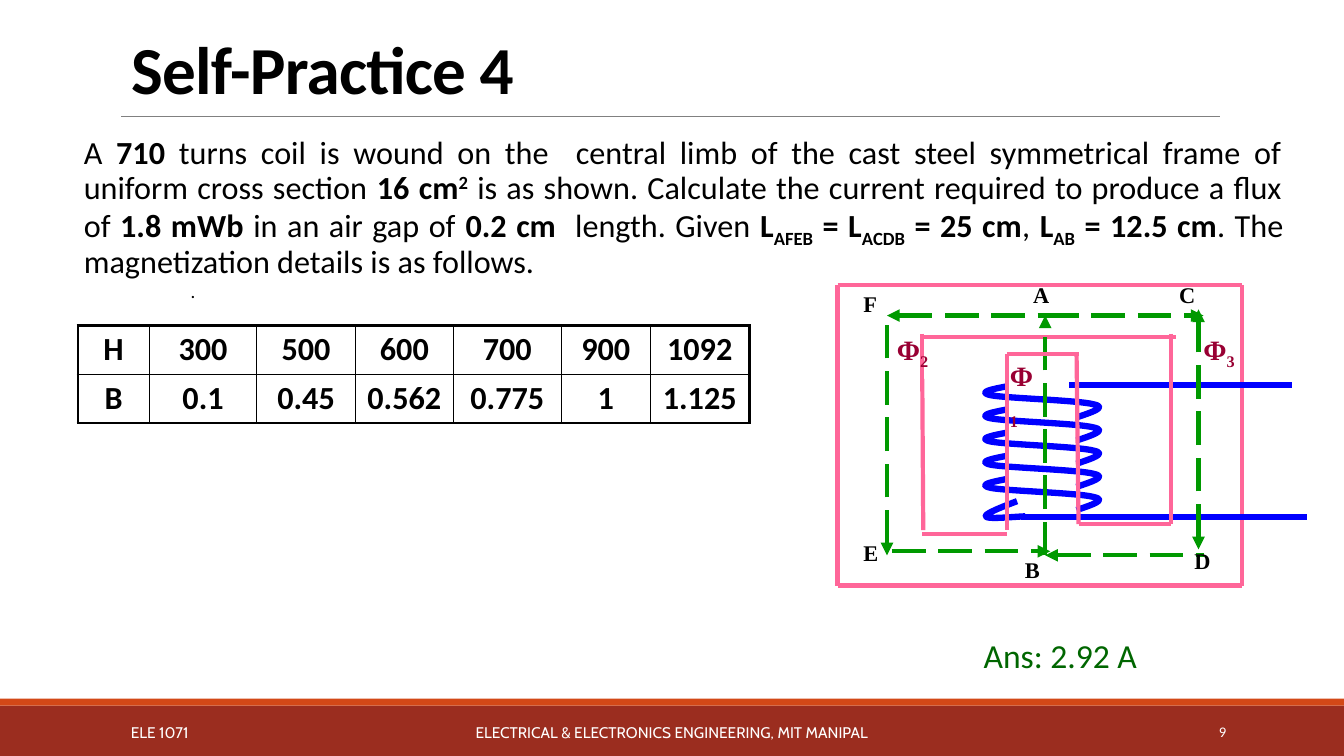
import dataclasses
import typing

import lxml.etree
import pptx
import pptx.dml.color
import pptx.enum.dml
import pptx.enum.shapes
import pptx.enum.text
import pptx.oxml.ns
import pptx.util

Pt = pptx.util.Pt
qn = pptx.oxml.ns.qn
ALIGN = pptx.enum.text.PP_ALIGN
ANCHOR = pptx.enum.text.MSO_ANCHOR
FIT = pptx.enum.text.MSO_AUTO_SIZE


@dataclasses.dataclass(frozen=True)
class Theme:
    black: str = "000000"
    white: str = "FFFFFF"
    band: str = "9B2D1F"
    strip: str = "D34817"
    rule: str = "808080"
    core: str = "FF6699"
    coil: str = "0000FF"
    flux: str = "009900"
    phi: str = "990033"
    reply: str = "006600"
    sans: str = "Calibri"
    foot: str = "Cabin"
    serif: str = "Times New Roman"
    head_size: float = 48
    body_size: float = 23
    reply_size: float = 24
    phi_size: float = 20
    mark_size: float = 16
    dot_size: float = 13.5
    foot_size: float = 11
    page_size: float = 10.5


THEME = Theme()


class Run(typing.NamedTuple):
    text: str
    bold: bool = False
    base: int = 0


class Style(typing.NamedTuple):
    size: float
    font: str = THEME.sans
    color: str = THEME.black


@dataclasses.dataclass(frozen=True)
class Label:
    box: tuple[float, float, float, float]
    runs: list[Run]
    style: Style
    wrap: bool = True
    grow: bool = False
    align: ALIGN = ALIGN.LEFT
    anchor: ANCHOR = ANCHOR.TOP


class Pen(typing.NamedTuple):
    color: str
    width: float
    dash: bool = False


class Stroke(typing.NamedTuple):
    x1: float
    y1: float
    x2: float
    y2: float
    head: bool = False
    tail: bool = False


def paint(color: str) -> pptx.dml.color.RGBColor:
    return pptx.dml.color.RGBColor.from_string(color)


def write(para: typing.Any, runs: list[Run], style: Style) -> None:
    for item in runs:
        run = para.add_run()
        run.text = item.text
        run.font.size = Pt(style.size)
        run.font.name = style.font
        run.font.bold = item.bold
        run.font.color.rgb = paint(style.color)
        if item.base:
            run._r.get_or_add_rPr().set("baseline", str(item.base * 1000))


def add_label(shapes: typing.Any, label: Label) -> typing.Any:
    frame = shapes.add_textbox(*map(Pt, label.box)).text_frame
    frame.word_wrap = label.wrap
    frame.auto_size = FIT.SHAPE_TO_FIT_TEXT if label.grow else FIT.NONE
    frame.vertical_anchor = label.anchor
    para = frame.paragraphs[0]
    para.alignment = label.align
    write(para, label.runs, label.style)
    return frame


def add_bar(shapes: typing.Any, top: float, height: float, color: str) -> None:
    bar = shapes.add_shape(pptx.enum.shapes.MSO_SHAPE.RECTANGLE,
                           0, Pt(top), Pt(960), Pt(height))
    bar.shadow.inherit = False
    bar.fill.solid()
    bar.fill.fore_color.rgb = paint(color)
    bar.line.fill.background()


def add_lines(shapes: typing.Any, strokes: list[Stroke], pen: Pen) -> None:
    for stroke in strokes:
        link = shapes.add_connector(pptx.enum.shapes.MSO_CONNECTOR.STRAIGHT,
                                    *map(Pt, stroke[:4]))
        link.line.color.rgb = paint(pen.color)
        link.line.width = Pt(pen.width)
        if pen.dash:
            link.line.dash_style = pptx.enum.dml.MSO_LINE.LONG_DASH
        props = link.element.spPr
        for tag, shown in (("a:headEnd", stroke.head), ("a:tailEnd", stroke.tail)):
            if shown:
                lxml.etree.SubElement(props.find(qn("a:ln")), qn(tag), type="triangle")
        lxml.etree.SubElement(props, qn("a:effectLst"))


def add_curve(shapes: typing.Any, left: float, top: float,
              knots: list[tuple[float, float]], pen: Pen) -> None:
    draft = shapes.build_freeform(Pt(left), Pt(top))
    draft.add_line_segments([(Pt(left + x), Pt(top + y)) for x, y in knots],
                            close=False)
    curve = draft.convert_to_shape()
    lines = list(curve.element.iter(qn("a:lnTo")))
    for k in range(0, len(lines), 3):
        trio = lines[k:k + 3]
        bend = lxml.etree.SubElement(trio[0].getparent(), qn("a:cubicBezTo"))
        for line in trio:
            bend.append(line[0])
            line.getparent().remove(line)
    curve.shadow.inherit = False
    curve.fill.background()
    curve.line.color.rgb = paint(pen.color)
    curve.line.width = Pt(pen.width)


def add_grid(shapes: typing.Any, rows: list[list[str]], widths: list[float]) -> None:
    table = shapes.add_table(len(rows), len(widths), Pt(55.7), Pt(232.5),
                             Pt(sum(widths)), Pt(69.6)).table
    table.first_row = table.horz_banding = False
    for col, width in zip(table.columns, widths):
        col.width = Pt(width)
    for r, row in enumerate(rows):
        table.rows[r].height = Pt(34.8)
        for c, value in enumerate(row):
            cell = table.cell(r, c)
            cell.margin_top = cell.margin_bottom = Pt(3.3)
            para = cell.text_frame.paragraphs[0]
            para.alignment = ALIGN.CENTER
            write(para, [Run(value, True)], Style(THEME.body_size))
            props = cell._tc.get_or_add_tcPr()
            edges = {"L": c == 0, "R": c == len(row) - 1,
                     "T": r == 0, "B": r == len(rows) - 1}
            for side, outer in edges.items():
                line = lxml.etree.SubElement(props, qn("a:ln" + side),
                                             w=str(Pt(2.25 if outer else 1)))
                fill = lxml.etree.SubElement(line, qn("a:solidFill"))
                lxml.etree.SubElement(fill, qn("a:srgbClr"), val=THEME.black)
            cell.fill.background()


BODY = [
    Run("A "), Run("710", True),
    Run(" turns coil is wound on the  central limb of the cast steel "
        "symmetrical frame of uniform cross section "),
    Run("16 cm", True), Run("2", True, 30),
    Run(" is as shown. Calculate the current required to produce a flux of "),
    Run("1.8 mWb ", True), Run("in an air gap of "), Run("0.2 cm  ", True),
    Run("length. Given "), Run("L", True), Run("AFEB", True, -25),
    Run(" = L", True), Run("ACDB", True, -25), Run(" = 25 cm", True), Run(", "),
    Run("L", True), Run("AB", True, -25), Run(" = 12.5 cm", True),
    Run(". The magnetization details is as follows."),
]
ROWS = [["H", "300", "500", "600", "700", "900", "1092"],
        ["B", "0.1", "0.45", "0.562", "0.775", "1", "1.125"]]
WIDTHS = [51, 76.8, 70.4, 70, 77.1, 63.6, 70.7]
FRAME = [Stroke(887, 203.8, 887, 418.3), Stroke(598.3, 203.8, 887, 203.8),
         Stroke(598.3, 418.3, 887, 418.3), Stroke(598.3, 203.8, 598.3, 273.6),
         Stroke(598.3, 313.2, 598.3, 418.3), Stroke(658.8, 240.5, 840.2, 240.5),
         Stroke(658.8, 238.3, 658.8, 273.6), Stroke(658.8, 270.7, 659.5, 378.7),
         Stroke(658.8, 381.6, 719.3, 381.6)]
LIMB = [Stroke(719.3, 252.7, 719.3, 378.7), Stroke(769, 252.7, 770.4, 374.4),
        Stroke(770.4, 374.4, 836.6, 374.4), Stroke(719.3, 252.7, 770.4, 252.7),
        Stroke(836.6, 265, 836.6, 374.4), Stroke(719.3, 265, 719.3, 277.9),
        Stroke(836.6, 238.3, 836.6, 273.6)]
SIDE = [Stroke(598.3, 265, 598.3, 326.2)]
LEAD_IN = [Stroke(763.9, 275, 923, 275)]
LEAD_OUT = [Stroke(729.4, 369.4, 933.8, 369.4)]
LOOPS = [Stroke(746.6, 396.7, 746.6, 225.4, tail=True),
         Stroke(633.6, 225.4, 746.6, 225.4, head=True),
         Stroke(746.6, 225.4, 859.7, 225.4, tail=True),
         Stroke(633.6, 396.7, 633.6, 225.4, head=True),
         Stroke(856.1, 392.4, 856.1, 221, head=True, tail=True),
         Stroke(637.2, 393.8, 750.2, 393.8, tail=True),
         Stroke(746.6, 396.7, 859.7, 396.7, head=True)]
TURN = [(-11.5, 2.2), (-22.3, 4.3), (-12.2, 6.5), (-2.2, 8.6), (51.1, 10.1),
        (61.2, 13), (71.3, 15.1), (59.8, 18.7), (49, 22.3)]
END = [(-11.5, 4.3), (-23.8, 9.4), (-22.3, 10.8),
       (-21.6, 13), (-7.9, 11.5), (5.8, 10.8)]
MARKS = {"A": (730.8, 197.3, 27.4), "B": (725, 393.8, 33.1),
         "C": (835.2, 197.3, 60.5), "D": (846, 387.6, 33.1),
         "E": (609.6, 381.6, 22.3), "F": (609.6, 203.8, 22.3)}
FLUXES = {"1": (714.2, 252.7, 35.3, 53.3), "2": (633.6, 234, 40.3, 35.3),
          "3": (852.5, 234, 40.3, 35.3)}


def main() -> None:
    deck = pptx.Presentation()
    deck.slide_width, deck.slide_height = Pt(960), Pt(540)
    slide = deck.slides.add_slide(deck.slide_layouts[5])
    shapes = slide.shapes
    add_bar(shapes, 504, 36, THEME.band)
    add_bar(shapes, 499, 5, THEME.strip)
    add_lines(shapes, [Stroke(86.5, 83, 871.3, 83)], Pen(THEME.rule, 0.5))

    title = shapes.title
    title.left, title.top, title.width, title.height = map(Pt, (86.4, 7.4, 792, 73.5))
    frame = title.text_frame
    frame.auto_size = FIT.NONE
    frame.vertical_anchor = ANCHOR.BOTTOM
    para = frame.paragraphs[0]
    para.alignment = ALIGN.LEFT
    para.line_spacing = 0.85
    write(para, [Run("Self-Practice 4", True)], Style(THEME.head_size))
    para.runs[0]._r.get_or_add_rPr().set("spc", "-50")

    body = add_label(shapes, Label((52.8, 94, 864, 388), BODY,
                                   Style(THEME.body_size), align=ALIGN.JUSTIFY))
    body.margin_left, body.margin_right = Pt(7.2), 0
    body.paragraphs[0].line_spacing = 0.9

    foot = Style(THEME.foot_size, THEME.foot, THEME.white)
    page = Style(THEME.page_size, THEME.sans, THEME.white)
    for left, width, text, style, align in (
            (86.4, 194.4, "ELE 1071", foot, ALIGN.LEFT),
            (290.3, 379.5, "ELECTRICAL & ELECTRONICS ENGINEERING, MIT MANIPAL",
             foot, ALIGN.CENTER),
            (780, 103, "9", page, ALIGN.RIGHT)):
        add_label(shapes, Label((left, 508.4, width, 28.8), [Run(text)], style,
                                align=align, anchor=ANCHOR.MIDDLE))
    add_label(shapes, Label((695.5, 450, 127.5, 36), [Run("Ans: 2.92 A")],
                            Style(THEME.reply_size, color=THEME.reply), False, True))
    add_label(shapes, Label((129, 196, 18, 23.5), [Run(".")],
                            Style(THEME.dot_size), False, True))
    add_grid(shapes, ROWS, WIDTHS)

    core, wire = Pen(THEME.core, 3), Pen(THEME.coil, 4.5)
    add_lines(shapes, FRAME, core)
    add_lines(shapes, LEAD_IN, wire)
    for turn in range(5):
        add_curve(shapes, 720, 275.8 + 16.55 * turn, TURN, wire)
    add_lines(shapes, LEAD_OUT, wire)
    add_curve(shapes, 726.5, 358, END, wire)
    add_lines(shapes, LOOPS, Pen(THEME.flux, 3, True))
    add_lines(shapes, LIMB, core)

    for sub, box in FLUXES.items():
        add_label(shapes, Label(box, [Run("Φ", True), Run(sub, True, -25)],
                                Style(THEME.phi_size, THEME.serif, THEME.phi),
                                sub == "1", True))
    for name, (left, top, width) in MARKS.items():
        add_label(shapes, Label((left, top, width, 29.5), [Run(name, True)],
                                Style(THEME.mark_size, THEME.serif), grow=True))
    add_lines(shapes, SIDE, core)
    deck.save("out.pptx")


if __name__ == "__main__":
    main()
